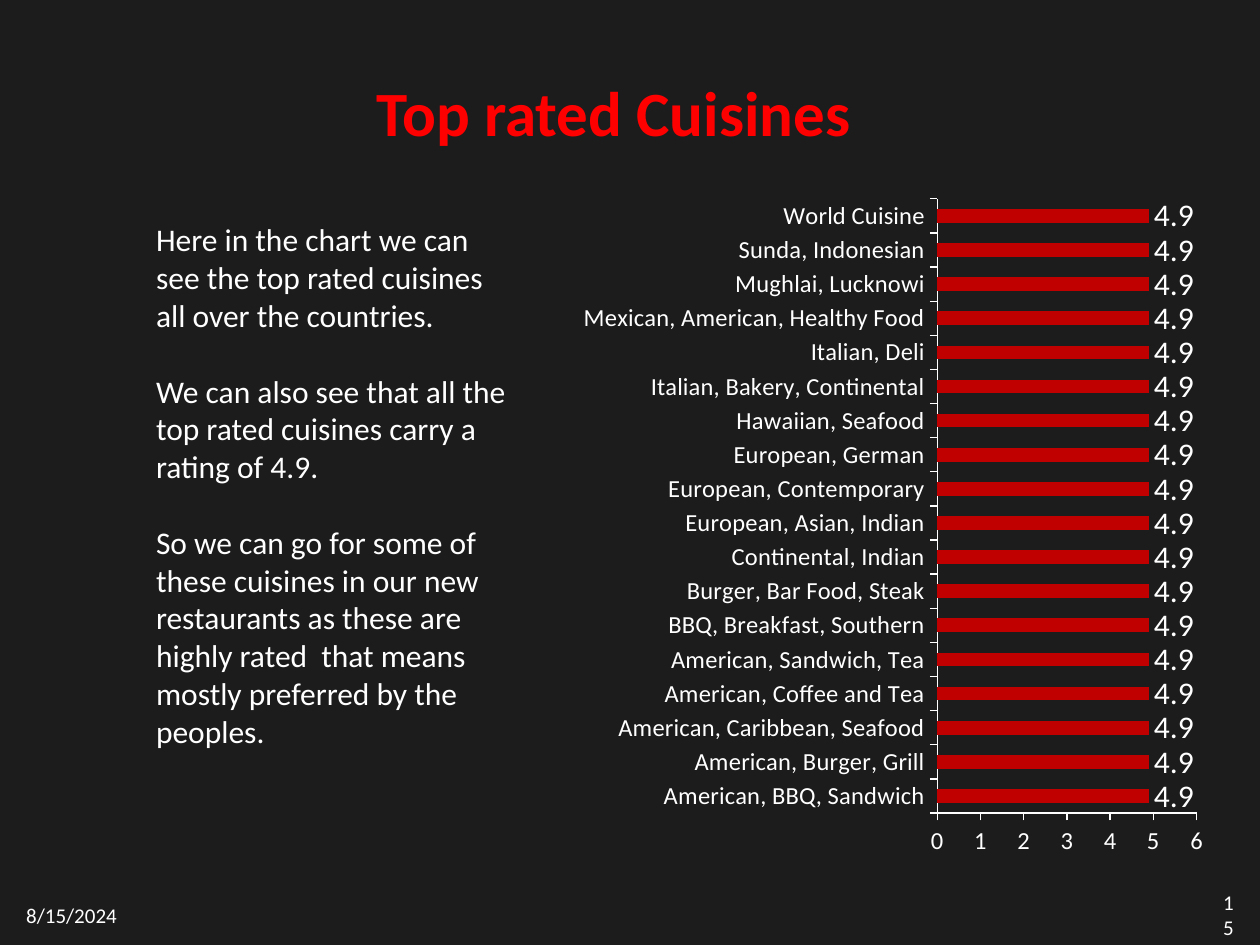
from dataclasses import dataclass

from pptx import Presentation
from pptx import util as u
from pptx.chart.data import CategoryChartData
from pptx.dml.color import RGBColor
from pptx.enum import chart as charts
from pptx.enum import text

INK = RGBColor(0x1C, 0x1C, 0x1C)
WHITE = RGBColor(0xFF, 0xFF, 0xFF)
RED = RGBColor(0xFF, 0x00, 0x00)
BAR_RED = RGBColor(0xC0, 0x00, 0x00)
FONT = "Calibri"
WIDTH, HEIGHT = u.Inches(10), u.Inches(7.5)
COLUMNS, ROWS = 100, 75
TOP_RATING = 4.9
CUISINES = (
    "American, BBQ, Sandwich", "American, Burger, Grill",
    "American, Caribbean, Seafood", "American, Coffee and Tea",
    "American, Sandwich, Tea", "BBQ, Breakfast, Southern",
    "Burger, Bar Food, Steak", "Continental, Indian",
    "European, Asian, Indian", "European, Contemporary",
    "European, German", "Hawaiian, Seafood",
    "Italian, Bakery, Continental", "Italian, Deli",
    "Mexican, American, Healthy Food", "Mughlai, Lucknowi",
    "Sunda, Indonesian", "World Cuisine",
)


@dataclass(frozen=True)
class Area:
    column: float
    row: float
    columns: float
    rows: float

    def lengths(self) -> tuple[int, int, int, int]:
        return (
            round(WIDTH * self.column / COLUMNS),
            round(HEIGHT * self.row / ROWS),
            round(WIDTH * self.columns / COLUMNS),
            round(HEIGHT * self.rows / ROWS),
        )


@dataclass(frozen=True)
class Note:
    area: Area
    paragraphs: tuple[str, ...]
    size: float
    anchor: text.MSO_ANCHOR = text.MSO_ANCHOR.MIDDLE
    align: text.PP_ALIGN = text.PP_ALIGN.LEFT
    pitch: float = 1.0
    gap: float = 0


TITLE_AREA = Area(5, 6, 87.4, 12.4)
CHART_AREA = Area(45.3, 14.7, 51.2, 54.3)
NOTES = (
    Note(Area(1.1, 70.6, 28.7, 4), ("8/15/2024",), 12),
    Note(Area(95.4, 70.6, 3.5, 4), ("15",), 12, align=text.PP_ALIGN.RIGHT),
    Note(
        Area(11.4, 17, 29.9, 53.2),
        (
            "Here in the chart we can see the top rated cuisines all over the countries.",
            "We can also see that all the top rated cuisines carry a rating of 4.9.",
            "So we can go for some of these cuisines in our new restaurants as these "
            "are highly rated  that means mostly preferred by the peoples.",
        ),
        18, text.MSO_ANCHOR.TOP, pitch=u.Pt(21.6), gap=21.6,
    ),
)


def style_font(font, size: float, color: RGBColor = WHITE, bold: bool = False) -> None:
    font.name = FONT
    font.size = u.Pt(size)
    font.bold = bold
    font.color.rgb = color


def draw_title(page) -> None:
    title = page.shapes.title
    title.left, title.top, title.width, title.height = TITLE_AREA.lengths()
    frame = title.text_frame
    frame.auto_size = text.MSO_AUTO_SIZE.NONE
    frame.vertical_anchor = text.MSO_ANCHOR.TOP
    para = frame.paragraphs[0]
    para.alignment = text.PP_ALIGN.CENTER
    para.line_spacing = 0.9
    span = para.add_run()
    span.text = "Top rated Cuisines"
    style_font(span.font, 36, RED, bold=True)


def draw_note(page, note: Note) -> None:
    frame = page.shapes.add_textbox(*note.area.lengths()).text_frame
    frame.word_wrap = True
    frame.vertical_anchor = note.anchor
    for index, words in enumerate(note.paragraphs):
        para = frame.add_paragraph() if index else frame.paragraphs[0]
        para.alignment = note.align
        para.line_spacing = note.pitch
        para.space_before = u.Pt(note.gap if index else 0)
        span = para.add_run()
        span.text = words
        style_font(span.font, note.size)


def draw_ratings(page) -> None:
    ratings = CategoryChartData()
    ratings.categories = CUISINES
    ratings.add_series("Series 1", [TOP_RATING] * len(CUISINES))
    chart = page.shapes.add_chart(
        charts.XL_CHART_TYPE.BAR_CLUSTERED, *CHART_AREA.lengths(), ratings
    ).chart
    chart.has_legend = False
    chart.has_title = False
    style_font(chart.font, 14)
    for axis in (chart.category_axis, chart.value_axis):
        axis.has_major_gridlines = False
        axis.major_tick_mark = charts.XL_TICK_MARK.OUTSIDE
        axis.minor_tick_mark = charts.XL_TICK_MARK.NONE
        axis.format.line.color.rgb = WHITE
        axis.format.line.width = u.Pt(0.75)
        style_font(axis.tick_labels.font, 14)
    chart.value_axis.minimum_scale = 0
    chart.value_axis.maximum_scale = 6
    chart.value_axis.major_unit = 1
    plot = chart.plots[0]
    plot.gap_width = 150
    plot.vary_by_categories = False
    fill = plot.series[0].format.fill
    fill.solid()
    fill.fore_color.rgb = BAR_RED
    plot.has_data_labels = True
    labels = plot.data_labels
    labels.show_value = True
    labels.position = charts.XL_LABEL_POSITION.OUTSIDE_END
    style_font(labels.font, 18)


def main() -> None:
    deck = Presentation()
    deck.slide_width, deck.slide_height = WIDTH, HEIGHT
    page = deck.slides.add_slide(deck.slide_layouts.get_by_name("Title Only"))
    page.background.fill.solid()
    page.background.fill.fore_color.rgb = INK
    draw_title(page)
    draw_ratings(page)
    for note in NOTES:
        draw_note(page, note)
    deck.save("out.pptx")


if __name__ == "__main__":
    main()
